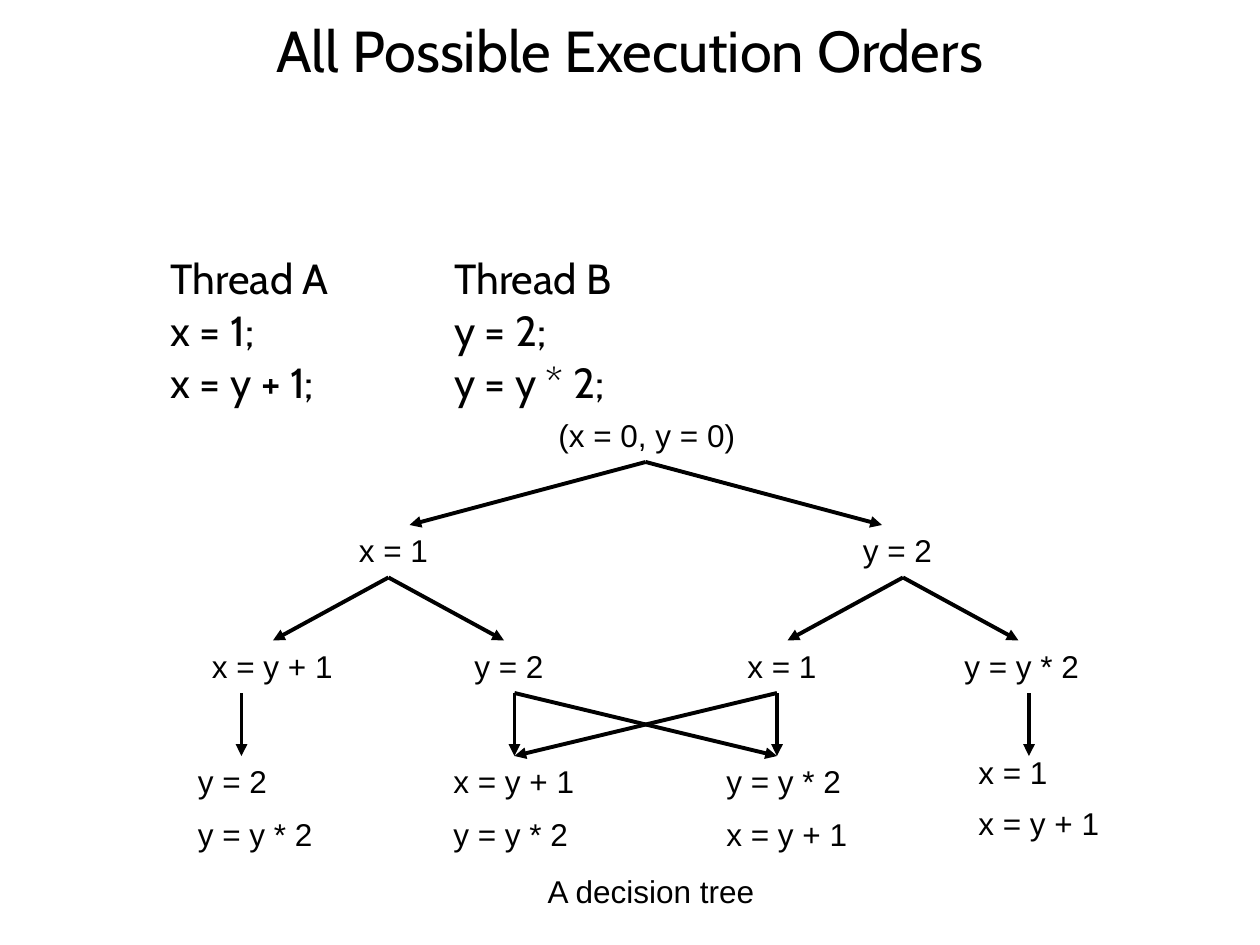
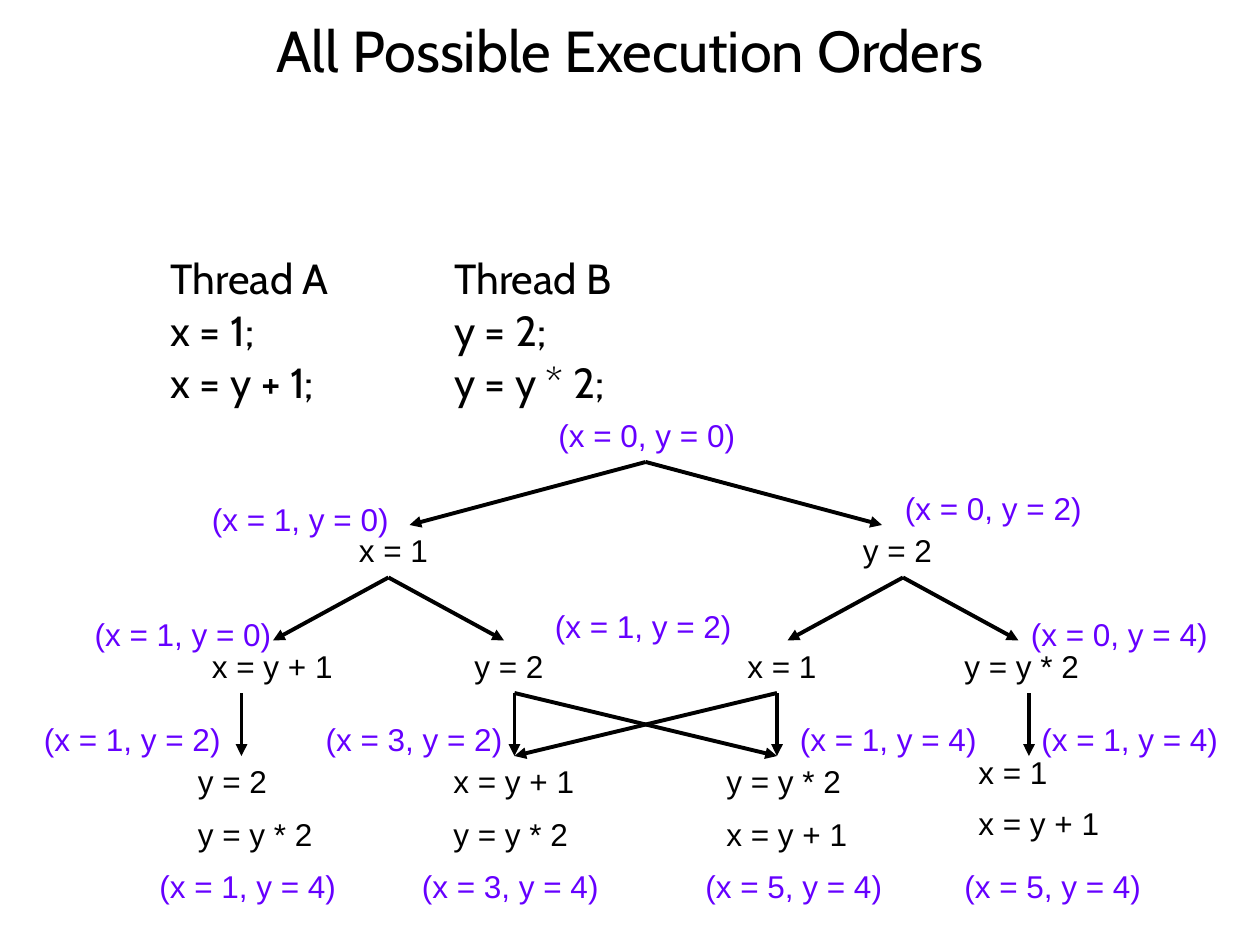
import dataclasses

import pptx
import pptx.dml.color
import pptx.enum.shapes
import pptx.enum.text
import pptx.oxml.ns
import pptx.util
from lxml import etree

Pt = pptx.util.Pt
RGBColor = pptx.dml.color.RGBColor
Align = pptx.enum.text.PP_ALIGN
Anchor = pptx.enum.text.MSO_ANCHOR
AutoSize = pptx.enum.text.MSO_AUTO_SIZE
qn = pptx.oxml.ns.qn


@dataclasses.dataclass(frozen=True)
class Theme:
    ink: RGBColor = RGBColor(0x00, 0x00, 0x00)
    state: RGBColor = RGBColor(0x66, 0x00, 0xFF)
    paper: RGBColor = RGBColor(0xFF, 0xFF, 0xFF)
    heading_font: str = "Cabin"
    label_font: str = "Arial"
    title_size: float = 33
    body_size: float = 24
    label_size: float = 18
    arrow_width: float = 2.25


THEME = Theme()

# Regions: left, top, width, height in points
TITLE_BOX = (24, 0, 672, 61)
BODY_BOX = (24, 78, 672, 408)
TREE_BOX = (18, 234, 684, 288)

# Body layout: where the code starts inside its box, and the column step
CODE_LEFT, CODE_TOP, THREAD_STEP = 73.5, 69.5, 162

TITLE = "All Possible Execution Orders"
THREADS = [("Thread A", "Thread B"), ("x = 1;", "y = 2;"), ("x = y + 1;", "y = y * 2;")]

# Tree grid, relative to the tree box
LEVEL_STEP, ARROW_TOP, ARROW_HEIGHT = 66, 30, 36
LABEL_HEIGHT, STATE_WIDTH, CAPTION_WIDTH = 29, 118, 134
STEP_WIDTHS = {"x = 1": 54, "y = 2": 54, "x = y + 1": 84, "y = y * 2": 81}

# Per level: start of the arrows and where they end
BRANCHES = [
    {351: (216, 486)},
    {204: (138, 270), 498: (432, 564)},
    {120: (120,), 276: (276, 426), 426: (426, 276), 570: (570,)},
]

# Steps under the root, per level
STEPS = [
    [("x = 1", 180), ("y = 2", 468)],
    [("x = y + 1", 96), ("y = 2", 246), ("x = 1", 402), ("y = y * 2", 526)],
]

# Last two steps of each order: left, top, line pitch, texts
ENDINGS = [
    (88, 198, 30, ("y = 2", "y = y * 2")),
    (234, 198, 30, ("x = y + 1", "y = y * 2")),
    (390, 198, 30, ("y = y * 2", "x = y + 1")),
    (534, 193, 29, ("x = 1", "x = y + 1")),
]

# Values of x and y along the tree: x, y, left, top
ROOT_STATE = (0, 0, 294, 0)
STATES = [
    (1, 0, 96, 48), (0, 2, 492, 42),
    (1, 0, 29, 114), (1, 2, 292, 109.5), (0, 4, 564, 114),
    (1, 2, 0, 174), (3, 2, 161, 174), (1, 4, 432, 174), (1, 4, 570, 174),
    (1, 4, 66, 258), (3, 4, 216, 258), (5, 4, 378, 258), (5, 4, 526, 258),
]


def style_font(paragraph, name, size, color):
    paragraph.font.name = name
    paragraph.font.size = Pt(size)
    paragraph.font.color.rgb = color


def place(shape, box):
    shape.left, shape.top, shape.width, shape.height = map(Pt, box)


def add_label(slide, box, text, left, top, width, color=THEME.ink, align=Align.LEFT):
    shape = slide.shapes.add_textbox(
        Pt(box[0] + left), Pt(box[1] + top), Pt(width), Pt(LABEL_HEIGHT))
    frame = shape.text_frame
    frame.word_wrap = False
    frame.auto_size = AutoSize.NONE
    frame.text = text
    paragraph = frame.paragraphs[0]
    paragraph.alignment = align
    style_font(paragraph, THEME.label_font, THEME.label_size, color)


def add_arrow(slide, box, start, end):
    (left, top), (x1, y1), (x2, y2) = box[:2], start, end
    arrow = slide.shapes.add_connector(
        pptx.enum.shapes.MSO_CONNECTOR.STRAIGHT,
        Pt(left + x1), Pt(top + y1), Pt(left + x2), Pt(top + y2))
    arrow.line.color.rgb = THEME.ink
    arrow.line.width = Pt(THEME.arrow_width)
    properties = arrow._element.spPr
    etree.SubElement(properties.find(qn("a:ln")), qn("a:tailEnd"), type="triangle")
    etree.SubElement(properties, qn("a:effectLst"))


def add_title(slide, box):
    title = slide.shapes.title
    place(title, box)
    frame = title.text_frame
    frame.text = TITLE
    frame.vertical_anchor = Anchor.MIDDLE
    paragraph = frame.paragraphs[0]
    paragraph.alignment = Align.CENTER
    paragraph.line_spacing = 0.9
    style_font(paragraph, THEME.heading_font, THEME.title_size, THEME.ink)


def add_threads(slide, box):
    body = slide.placeholders[1]
    place(body, box)
    frame = body.text_frame
    frame.text = "\n".join("\t".join(row) for row in THREADS)
    frame.vertical_anchor = Anchor.TOP
    frame.auto_size = AutoSize.NONE
    frame.margin_left, frame.margin_top = Pt(CODE_LEFT), Pt(CODE_TOP)
    for paragraph in frame.paragraphs:
        # No bullet; one tab step reaches the second thread
        properties = paragraph._p.get_or_add_pPr()
        properties.set("marL", "0")
        properties.set("indent", "0")
        properties.set("defTabSz", str(int(Pt(THREAD_STEP))))
        etree.SubElement(properties, qn("a:buNone"))
        paragraph.line_spacing = 0.9
        paragraph.space_before = Pt(3.8)
        style_font(paragraph, THEME.heading_font, THEME.body_size, THEME.ink)


def add_state(slide, box, state, color):
    x, y, left, top = state
    add_label(slide, box, f"(x = {x}, y = {y})", left, top, STATE_WIDTH, color)


def add_tree(slide, box, root_color):
    add_state(slide, box, ROOT_STATE, root_color)
    # Arrows
    for level, branches in enumerate(BRANCHES):
        top = ARROW_TOP + level * LEVEL_STEP
        for start, ends in branches.items():
            for end in ends:
                add_arrow(slide, box, (start, top), (end, top + ARROW_HEIGHT))
    # Steps
    for level, steps in enumerate(STEPS, start=1):
        for text, left in steps:
            add_label(slide, box, text, left, level * LEVEL_STEP, STEP_WIDTHS[text])
    for left, top, pitch, texts in ENDINGS:
        for line, text in enumerate(texts):
            add_label(slide, box, text, left, top + line * pitch, STEP_WIDTHS[text])


def add_orders_slide(presentation, with_states):
    slide = presentation.slides.add_slide(presentation.slide_layouts[1])
    slide.background.fill.solid()
    slide.background.fill.fore_color.rgb = THEME.paper
    add_title(slide, TITLE_BOX)
    add_threads(slide, BODY_BOX)
    add_tree(slide, TREE_BOX, THEME.state if with_states else THEME.ink)
    if with_states:
        for state in STATES:
            add_state(slide, TREE_BOX, state, THEME.state)
    else:
        add_label(slide, TREE_BOX, "A decision tree", 287, 261, CAPTION_WIDTH,
                  align=Align.CENTER)


def main():
    presentation = pptx.Presentation()
    presentation.slide_width, presentation.slide_height = Pt(720), Pt(540)
    for with_states in (False, True):
        add_orders_slide(presentation, with_states)
    presentation.save("out.pptx")


if __name__ == "__main__":
    main()
